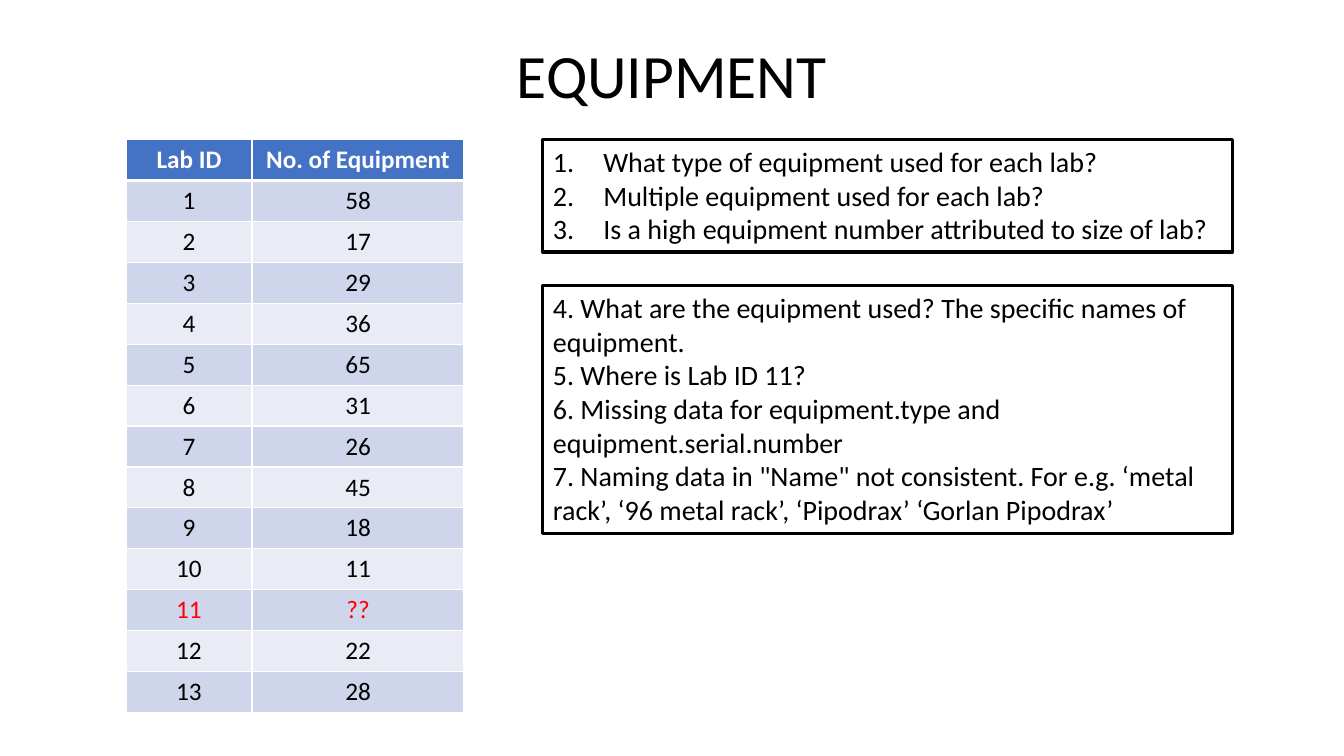
from lxml import etree
from pptx import Presentation
from pptx.dml.color import RGBColor
from pptx.enum.text import MSO_ANCHOR, MSO_AUTO_SIZE, PP_ALIGN
from pptx.oxml.ns import qn
from pptx.util import Pt

PX = 9525
SLIDE_SIZE = (1280, 720)
FONT = "Calibri"
CENTER, LEFT = PP_ALIGN.CENTER, PP_ALIGN.LEFT
TOP, MIDDLE = MSO_ANCHOR.TOP, MSO_ANCHOR.MIDDLE
FIXED = MSO_AUTO_SIZE.NONE
TWO_CONTENT = 3

COLORS = {
    "text": "000000",
    "white": "FFFFFF",
    "header": "4472C4",
    "odd": "CFD5EA",
    "even": "E9EBF5",
    "missing": "FF0000",
}

EQUIPMENT_COUNTS = [58, 17, 29, 36, 65, 31, 26, 45, 18, 11, "??", 22, 28]
LAB_QUESTIONS = [
    "What type of equipment used for each lab?",
    "Multiple equipment used for each lab?",
    "Is a high equipment number attributed to size of lab?",
]
DATA_QUESTIONS = [
    "4. What are the equipment used? The specific names of equipment.",
    "5. Where is Lab ID 11?",
    "6. Missing data for equipment.type and equipment.serial.number",
    "7. Naming data in \"Name\" not consistent. For e.g. ‘metal rack’, "
    "‘96 metal rack’, ‘Pipodrax’ ‘Gorlan Pipodrax’",
]


def rgb(name):
    """Return the named colour."""
    return RGBColor.from_string(COLORS[name])


def write(frame, lines, size, color="text", bold=False, align=LEFT, indent=0, numbered=False):
    """Fill a text frame with one formatted paragraph per line."""
    for number, line in enumerate(lines):
        paragraph = frame.paragraphs[0] if number == 0 else frame.add_paragraph()
        properties = paragraph._p.get_or_add_pPr()
        properties.set("marL", str(indent * PX))
        properties.set("indent", str(-indent * PX))
        if numbered:
            etree.SubElement(properties, qn("a:buFont"), typeface="+mj-lt")
            etree.SubElement(properties, qn("a:buAutoNum"), type="arabicPeriod")
        else:
            etree.SubElement(properties, qn("a:buNone"))
        paragraph.alignment = align
        paragraph.space_before = Pt(0)
        run = paragraph.add_run()
        run.text = line
        run.font.name = FONT
        run.font.size = Pt(size)
        run.font.bold = bold
        run.font.color.rgb = rgb(color)


def place(holder, box):
    """Move a placeholder to a box and keep it at that size."""
    holder.left, holder.top, holder.width, holder.height = (length * PX for length in box)
    frame = holder.text_frame
    frame.word_wrap = True
    frame.auto_size = FIXED
    frame.vertical_anchor = TOP
    return frame


def add_title(holder, box):
    """Place the slide title."""
    write(place(holder, box), ["EQUIPMENT"], 44, align=CENTER)


def add_questions(holder, box, questions, **text_format):
    """Place a framed list of questions."""
    write(place(holder, box), questions, 20, **text_format)
    holder.line.color.rgb = rgb("text")
    holder.line.width = Pt(2.25)


def set_borders(cell, top, bottom):
    """Draw white cell borders with the given top and bottom widths."""
    properties = cell._tc.get_or_add_tcPr()
    widths = {"lnL": 1, "lnR": 1, "lnT": top, "lnB": bottom}
    for position, (side, width) in enumerate(widths.items()):
        border = etree.Element(qn(f"a:{side}"), w=str(Pt(width)))
        fill = etree.SubElement(border, qn("a:solidFill"))
        etree.SubElement(fill, qn("a:srgbClr"), val=COLORS["white"])
        properties.insert(position, border)


def add_equipment_table(slide, box, column_widths):
    """Add the table of equipment counts by lab."""
    rows = [("Lab ID", "No. of Equipment"), *enumerate(EQUIPMENT_COUNTS, 1)]
    lengths = (length * PX for length in box)
    table = slide.shapes.add_table(len(rows), len(column_widths), *lengths).table
    for column, width in zip(table.columns, column_widths):
        column.width = width * PX
    for index, row in enumerate(rows):
        header = index == 0
        band = "header" if header else "odd" if index % 2 else "even"
        color = "white" if header else "missing" if row[1] == "??" else "text"
        for column, value in enumerate(row):
            cell = table.cell(index, column)
            cell.vertical_anchor = MIDDLE
            cell.fill.solid()
            cell.fill.fore_color.rgb = rgb(band)
            set_borders(cell, 3 if index == 1 else 1, 3 if header else 1)
            write(cell.text_frame, [str(value)], 18, color=color, bold=header, align=CENTER)


def main():
    """Build the equipment slide."""
    deck = Presentation()
    deck.slide_width, deck.slide_height = (length * PX for length in SLIDE_SIZE)
    slide = deck.slides.add_slide(deck.slide_layouts[TWO_CONTENT])
    title, lab_list, data_list = list(slide.placeholders)[:3]
    add_title(title, (0, 30, 1280, 81))
    add_equipment_table(slide, (120, 133, 322, 546), (120, 202))
    add_questions(lab_list, (517, 133, 657, 107), LAB_QUESTIONS, indent=48, numbered=True)
    add_questions(data_list, (517, 272, 657, 236), DATA_QUESTIONS)
    deck.save("out.pptx")


if __name__ == "__main__":
    main()
